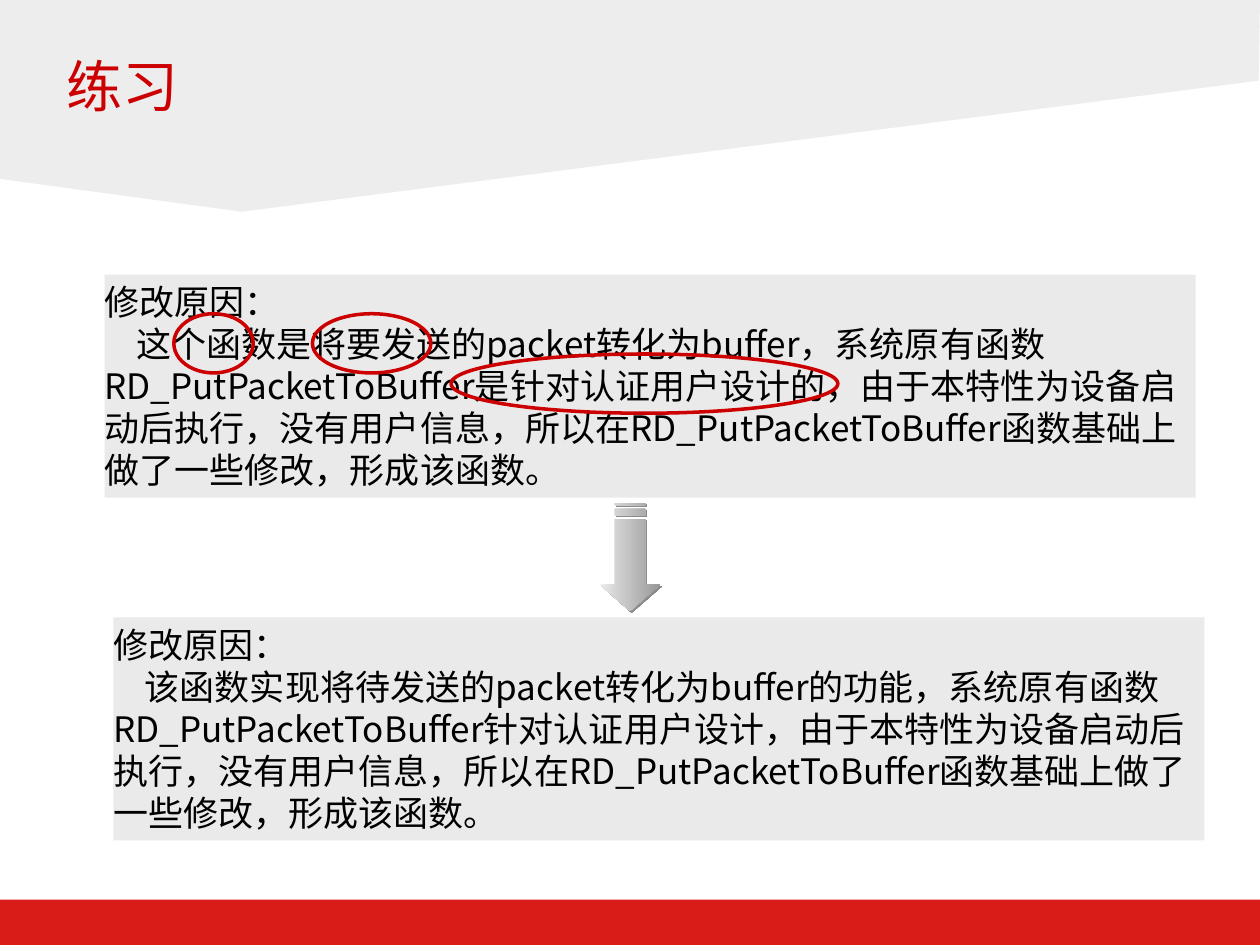
from lxml.etree import SubElement
from pptx import Presentation
from pptx.dml.color import RGBColor
from pptx.enum.shapes import MSO_SHAPE as SHAPE
from pptx.enum.text import MSO_ANCHOR as ANCHOR, MSO_AUTO_SIZE as AUTO_SIZE, PP_ALIGN as ALIGN
from pptx.oxml import parse_xml
from pptx.oxml.ns import nsdecls, qn
from pptx.util import Inches, Pt

RED = RGBColor(0xCC, 0x00, 0x00)
BAR_RED = RGBColor(0xD9, 0x1C, 0x17)
BAND_GRAY = RGBColor(0xED, 0xED, 0xEE)
BOX_GRAY = RGBColor(0xEA, 0xEA, 0xEA)
ARROW_GRAY = RGBColor(0x97, 0x97, 0x97)
SHADOW_GRAY = RGBColor(0x8B, 0x8B, 0x8B)
BLACK = RGBColor(0x00, 0x00, 0x00)
CJK_FONT = "Noto Sans CJK SC"
TITLE_FONT = "Times New Roman"

HEADING = "修改原因："
BEFORE = ("这个函数是将要发送的packet转化为buffer，系统原有函数RD_PutPacketToBuffer"
          "是针对认证用户设计的，由于本特性为设备启动后执行，没有用户信息，"
          "所以在RD_PutPacketToBuffer函数基础上做了一些修改，形成该函数。")
AFTER = ("该函数实现将待发送的packet转化为buffer的功能，系统原有函数RD_PutPacketToBuffer"
         "针对认证用户设计，由于本特性为设备启动后执行，没有用户信息，"
         "所以在RD_PutPacketToBuffer函数基础上做了一些修改，形成该函数。")

BAND = [(0, 0), (10, 0), (9.99, 0.64), (1.92, 1.68), (0, 1.42)]
ARROW_HEAD = [(5.12, 4.12), (5.12, 4.64), (5.24, 4.64), (5, 4.85),
              (4.76, 4.64), (4.88, 4.64), (4.88, 4.12)]
ARROW_STRIPES = [(3.99, 4.01), (4.04, 4.09)]


def format_run(r, font, size, color):
    r.font.name = font
    r.font.size = Pt(size)
    r.font.color.rgb = color
    SubElement(r.font._element, qn("a:ea")).set("typeface", CJK_FONT)


def add_plain_shape(slide, kind, x, y, w, h, fill=None, line=None):
    sp = slide.shapes.add_shape(kind, Inches(x), Inches(y), Inches(w), Inches(h))
    sp.shadow.inherit = False
    if fill is None:
        sp.fill.background()
    else:
        sp.fill.solid()
        sp.fill.fore_color.rgb = fill
    if line is None:
        sp.line.fill.background()
    else:
        sp.line.color.rgb = line
        sp.line.width = Pt(2)
    return sp


def add_outline(slide, contours):
    """Build one freeform from closed contours given in inches."""
    builder = None
    for contour in contours:
        points = [(Inches(x), Inches(y)) for x, y in contour]
        if builder is None:
            builder = slide.shapes.build_freeform(*points[0], scale=1.0)
        else:
            builder.move_to(*points[0])
        builder.add_line_segments(points[1:], close=True)
    sp = builder.convert_to_shape()
    sp.shadow.inherit = False
    sp.line.fill.background()
    return sp


def add_band(slide):
    sp = add_outline(slide, [BAND])
    sp.fill.solid()
    sp.fill.fore_color.rgb = BAND_GRAY


def add_arrow(slide):
    stripes = [[(5.12, top), (5.12, bottom), (4.88, bottom), (4.88, top)]
               for top, bottom in ARROW_STRIPES]
    sp = add_outline(slide, [ARROW_HEAD] + stripes)
    sp.fill.gradient()
    sp.fill.gradient_angle = 0
    for stop, color, position in zip(sp.fill.gradient_stops, (BOX_GRAY, ARROW_GRAY), (0, 1)):
        stop.color.rgb = color
        stop.position = position
    effects = sp._element.spPr.find(qn("a:effectLst"))
    effects.append(parse_xml(
        f'<a:outerShdw {nsdecls("a")} blurRad="0" dist="{Pt(1.4)}" dir="2700000" '
        f'algn="ctr" rotWithShape="0"><a:srgbClr val="{SHADOW_GRAY}"/></a:outerShdw>'))


def set_title(slide, text):
    title = slide.shapes.title
    title.left, title.top = Inches(0.43), Inches(0.36)
    title.width, title.height = Inches(7.57), Inches(0.94)
    tf = title.text_frame
    tf.text = text
    tf.auto_size = AUTO_SIZE.NONE
    tf.vertical_anchor = ANCHOR.TOP
    p = tf.paragraphs[0]
    p.alignment = ALIGN.LEFT
    format_run(p.runs[0], TITLE_FONT, 32, RED)


def add_reason_box(slide, x, y, body):
    sp = add_plain_shape(slide, SHAPE.RECTANGLE, x, y, 8.66, 1.77, fill=BOX_GRAY)
    tf = sp.text_frame
    tf.word_wrap = True
    tf.vertical_anchor = ANCHOR.TOP
    tf.margin_left = tf.margin_right = 0
    tf.text = f"{HEADING}\n{body}"
    for p in tf.paragraphs:
        p.alignment = ALIGN.LEFT
        p.line_spacing = Pt(24)
        format_run(p.runs[0], CJK_FONT, 20, BLACK)
    tf.paragraphs[1]._p.get_or_add_pPr().set("indent", str(Inches(0.25)))


def add_mark(slide, x, y, w):
    add_plain_shape(slide, SHAPE.OVAL, x, y, w, 0.47, line=RED)


def main():
    prs = Presentation()
    prs.slide_width, prs.slide_height = Inches(10), Inches(7.5)
    slide = prs.slides.add_slide(prs.slide_layouts[5])

    add_plain_shape(slide, SHAPE.RECTANGLE, 0, 7.14, 10, 0.36, fill=BAR_RED)
    add_band(slide)
    set_title(slide, "练习")
    # Bring the title in front of the background shapes.
    slide.shapes._spTree.append(slide.shapes.title._element)

    add_reason_box(slide, 0.83, 2.18, BEFORE)
    add_reason_box(slide, 0.9, 4.9, AFTER)
    for x, y, w in [(1.38, 2.49, 0.63), (2.48, 2.49, 0.94), (3.58, 2.81, 3.07)]:
        add_mark(slide, x, y, w)
    add_arrow(slide)
    prs.save("out.pptx")


if __name__ == "__main__":
    main()
